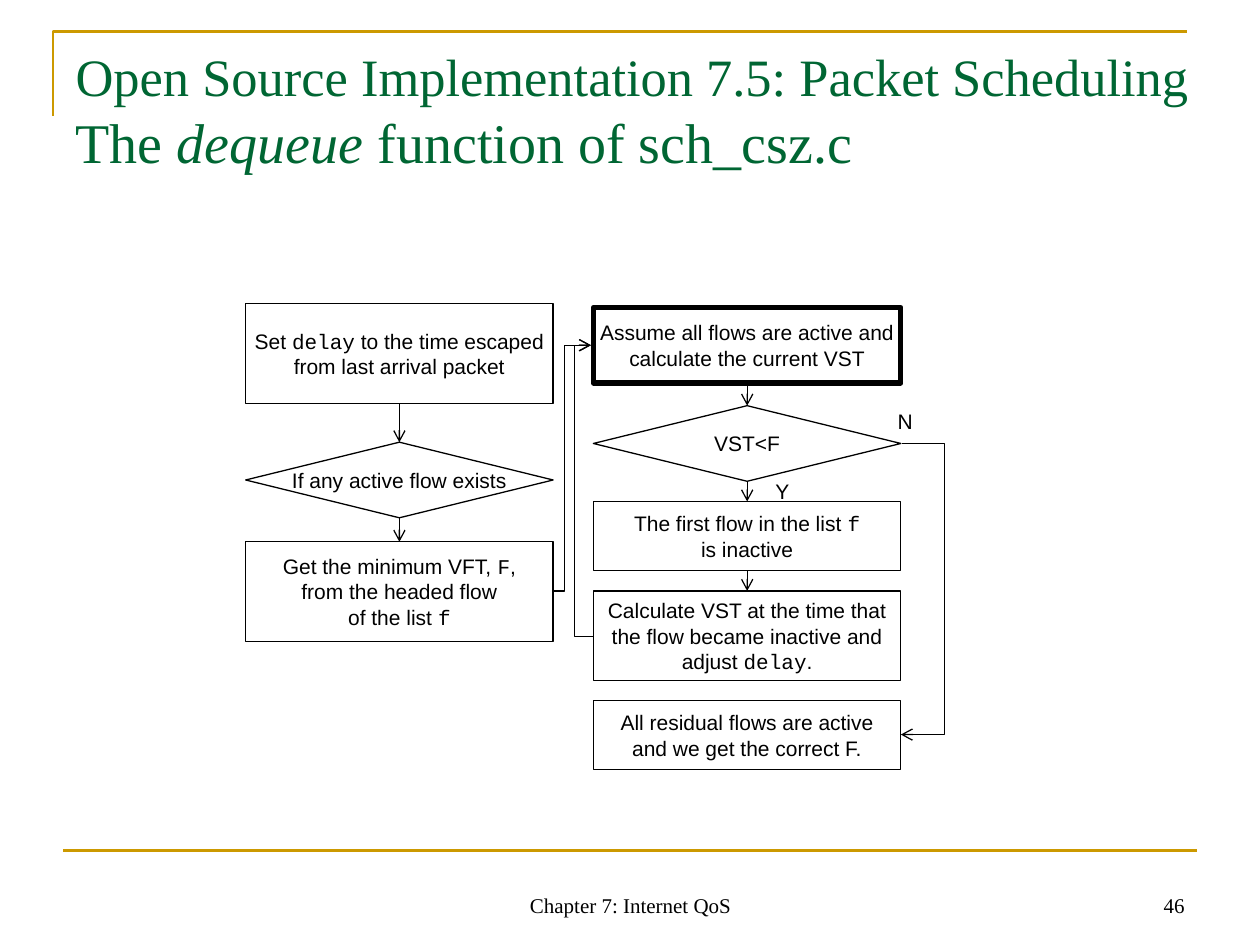
from dataclasses import dataclass

from lxml.etree import SubElement
from pptx import Presentation
from pptx.dml.color import RGBColor
from pptx.enum.shapes import MSO_CONNECTOR, MSO_SHAPE
from pptx.enum.text import MSO_ANCHOR, MSO_AUTO_SIZE, PP_ALIGN
from pptx.oxml.ns import qn
from pptx.util import Inches, Pt

TOP, BOTTOM = 0, 2  # connection sites of boxes and diamonds
NODE_WIDTH = 2.44
LEFT_COLUMN, RIGHT_COLUMN = 1.95, 4.71


@dataclass(frozen=True)
class Theme:
    ink: RGBColor = RGBColor(0x00, 0x00, 0x00)
    paper: RGBColor = RGBColor(0xFF, 0xFF, 0xFF)
    title: RGBColor = RGBColor(0x00, 0x66, 0x33)
    rule: RGBColor = RGBColor(0xCC, 0x99, 0x00)
    serif: str = "Times New Roman"
    sans: str = "Arial"
    code: str = "Courier New"
    title_sizes: tuple = (30, 32)
    body_size: int = 12
    thin: float = 0.75
    rule_width: float = 1.5
    thick: float = 3


class SlideBuilder:
    def __init__(self, slide, theme):
        self.slide = slide
        self.theme = theme

    def fill_paragraph(self, paragraph, text, font, size, color, align=PP_ALIGN.CENTER):
        """Add runs; parts between backticks are code, between asterisks italic."""
        paragraph.alignment = align
        mark = "*" if "*" in text else "`"
        for index, part in enumerate(text.split(mark)):
            marked = index % 2 == 1
            for line_index, line in enumerate(part.split("\n")):
                if line_index:
                    paragraph.add_line_break()
                if not line:
                    continue
                run = paragraph.add_run()
                run.text = line
                run.font.name = self.theme.code if marked and mark == "`" else font
                run.font.italic = marked and mark == "*"
                run.font.size = Pt(size)
                run.font.color.rgb = color

    def title(self, lines, left, top, width, height):
        shape = self.slide.shapes.title
        shape.left, shape.top = Inches(left), Inches(top)
        shape.width, shape.height = Inches(width), Inches(height)
        frame = shape.text_frame
        frame.auto_size = MSO_AUTO_SIZE.NONE
        frame.vertical_anchor = MSO_ANCHOR.TOP
        for index, (line, size) in enumerate(zip(lines, self.theme.title_sizes)):
            paragraph = frame.add_paragraph() if index else frame.paragraphs[0]
            self.fill_paragraph(paragraph, line, self.theme.serif, size,
                                self.theme.title, PP_ALIGN.LEFT)

    def text(self, text, left, top, width, height, font, align=PP_ALIGN.CENTER,
             anchor=MSO_ANCHOR.TOP, wrap=True):
        box = self.slide.shapes.add_textbox(
            Inches(left), Inches(top), Inches(width), Inches(height))
        frame = box.text_frame
        frame.word_wrap = wrap
        frame.vertical_anchor = anchor
        self.fill_paragraph(frame.paragraphs[0], text, font, self.theme.body_size,
                            self.theme.ink, align)

    def node(self, text, left, top, height, kind=MSO_SHAPE.FLOWCHART_PROCESS,
             line_width=None, side_inset=0.1):
        shape = self.slide.shapes.add_shape(
            kind, Inches(left), Inches(top), Inches(NODE_WIDTH), Inches(height))
        shape.shadow.inherit = False
        shape.fill.solid()
        shape.fill.fore_color.rgb = self.theme.paper
        shape.line.color.rgb = self.theme.ink
        shape.line.width = Pt(line_width or self.theme.thin)
        frame = shape.text_frame
        frame.word_wrap = kind == MSO_SHAPE.FLOWCHART_PROCESS
        frame.vertical_anchor = MSO_ANCHOR.MIDDLE
        frame.margin_left = frame.margin_right = Inches(side_inset)
        self.fill_paragraph(frame.paragraphs[0], text, self.theme.sans,
                            self.theme.body_size, self.theme.ink)
        return shape

    def decision(self, text, left, top):
        return self.node(text, left, top, 0.6, MSO_SHAPE.FLOWCHART_DECISION)

    def line(self, start, end, color, width, kind=MSO_CONNECTOR.STRAIGHT):
        connector = self.slide.shapes.add_connector(
            kind, *(Inches(value) for value in (*start, *end)))
        connector.line.color.rgb = color
        connector.line.width = Pt(width)
        SubElement(connector._element.spPr, qn("a:effectLst"))
        return connector

    def arrow(self, start, end, kind=MSO_CONNECTOR.STRAIGHT):
        connector = self.line(start, end, self.theme.ink, self.theme.thin, kind)
        outline = connector._element.spPr.find(qn("a:ln"))
        SubElement(outline, qn("a:tailEnd"), type="arrow")
        return connector

    def step(self, upper, lower):
        """Join two nodes of a column with a downward arrow."""
        connector = self.arrow((0, 0), (0, 0))
        connector.begin_connect(upper, BOTTOM)
        connector.end_connect(lower, TOP)

    def elbow(self, start, end, middle_x):
        """Draw an arrow whose vertical part runs at middle_x."""
        connector = self.arrow(start, end, MSO_CONNECTOR.ELBOW)
        ratio = (middle_x - start[0]) / (end[0] - start[0])
        guides = connector._element.spPr.find(qn("a:prstGeom")).get_or_add_avLst()
        SubElement(guides, qn("a:gd"), name="adj1", fmla=f"val {round(ratio * 100000)}")

    def corner(self, points):
        first, *others = [(Inches(x), Inches(y)) for x, y in points]
        builder = self.slide.shapes.build_freeform(*first)
        builder.add_line_segments(others, close=False)
        shape = builder.convert_to_shape()
        shape.shadow.inherit = False
        shape.fill.background()
        shape.line.color.rgb = self.theme.rule
        shape.line.width = Pt(self.theme.rule_width)


def main():
    presentation = Presentation()
    presentation.slide_width, presentation.slide_height = Inches(10), Inches(7.5)
    theme = Theme()
    builder = SlideBuilder(presentation.slides.add_slide(presentation.slide_layouts[5]), theme)

    builder.corner([(0.42, 0.92), (0.42, 0.25), (9.42, 0.25)])
    builder.line((0.5, 6.75), (9.5, 6.75), theme.rule, theme.rule_width)
    builder.title(["Open Source Implementation 7.5: Packet Scheduling",
                   "The *dequeue* function of sch_csz.c"], 0.5, 0.3, 9.11, 1.02)

    set_delay = builder.node("Set `delay` to the time escaped from last arrival packet",
                             LEFT_COLUMN, 2.41, 0.79, side_inset=0)
    any_active = builder.decision("If any active flow exists", LEFT_COLUMN, 3.51)
    minimum = builder.node("Get the minimum VFT, `F`,\nfrom the headed flow\nof the list `f`",
                           LEFT_COLUMN, 4.3, 0.79)

    assume = builder.node("Assume all flows are active and calculate the current VST",
                          RIGHT_COLUMN, 2.44, 0.6, line_width=theme.thick, side_inset=0)
    compare = builder.decision("VST<F", RIGHT_COLUMN, 3.22)
    inactive = builder.node("The first flow in the list `f`\nis inactive",
                            RIGHT_COLUMN, 3.98, 0.55)
    adjust = builder.node("Calculate VST at the time that the flow became inactive "
                          "and adjust `delay`.", RIGHT_COLUMN, 4.69, 0.71)
    builder.node("All residual flows are active and we get the correct F.",
                 RIGHT_COLUMN, 5.56, 0.55)

    for column in ((set_delay, any_active, minimum), (assume, compare, inactive, adjust)):
        for upper, lower in zip(column, column[1:]):
            builder.step(upper, lower)

    loop_entry = (4.69, 2.74)
    builder.elbow((7.16, 3.52), (7.15, 5.83), 7.5)
    builder.elbow((RIGHT_COLUMN, 5.05), loop_entry, 4.56)
    builder.elbow((LEFT_COLUMN + NODE_WIDTH, 4.69), loop_entry, 4.48)

    builder.text("Y", 6.05, 3.75, 0.32, 0.3, theme.sans, wrap=False)
    builder.text("N", 7.02, 3.19, 0.33, 0.3, theme.sans, wrap=False)
    builder.text("Chapter 7: Internet QoS", 3.42, 6.83, 3.17, 0.5, theme.serif,
                 anchor=MSO_ANCHOR.BOTTOM)
    builder.text("46", 7.17, 6.83, 2.33, 0.5, theme.serif, PP_ALIGN.RIGHT, MSO_ANCHOR.BOTTOM)

    presentation.save("out.pptx")


if __name__ == "__main__":
    main()
